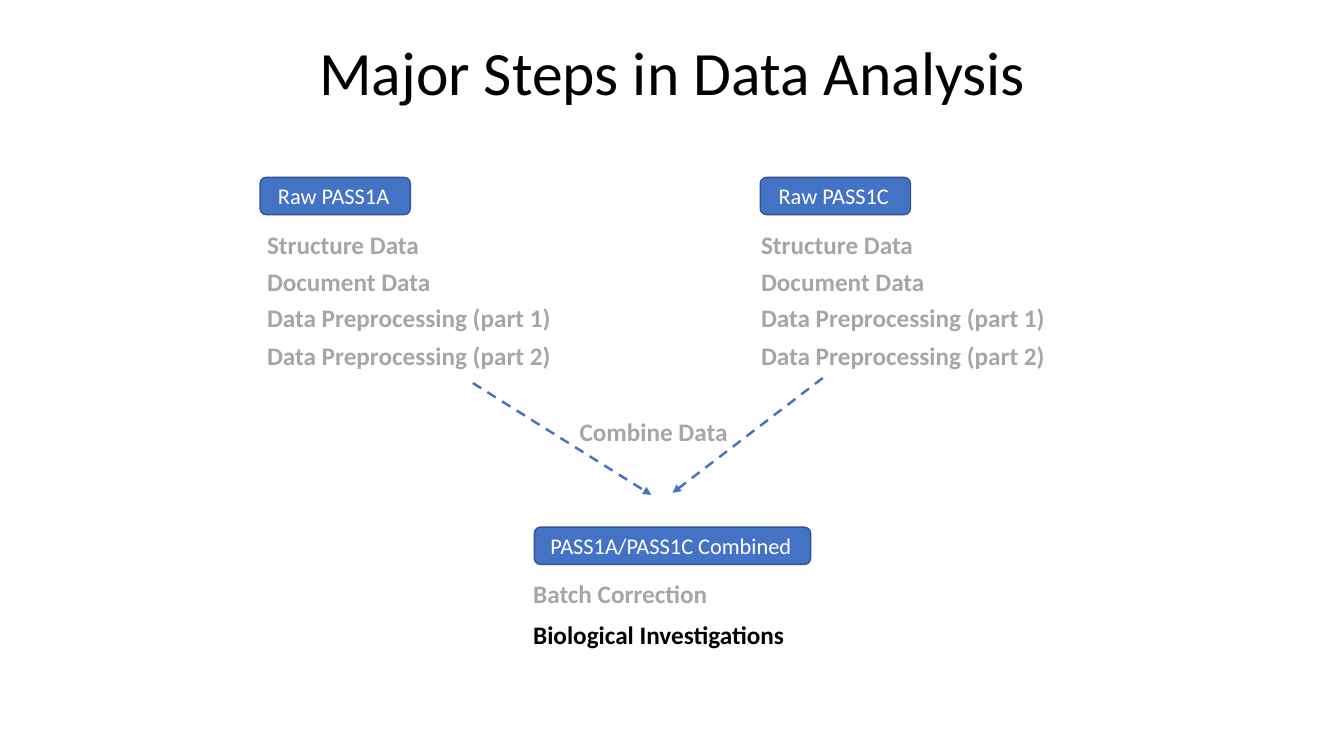
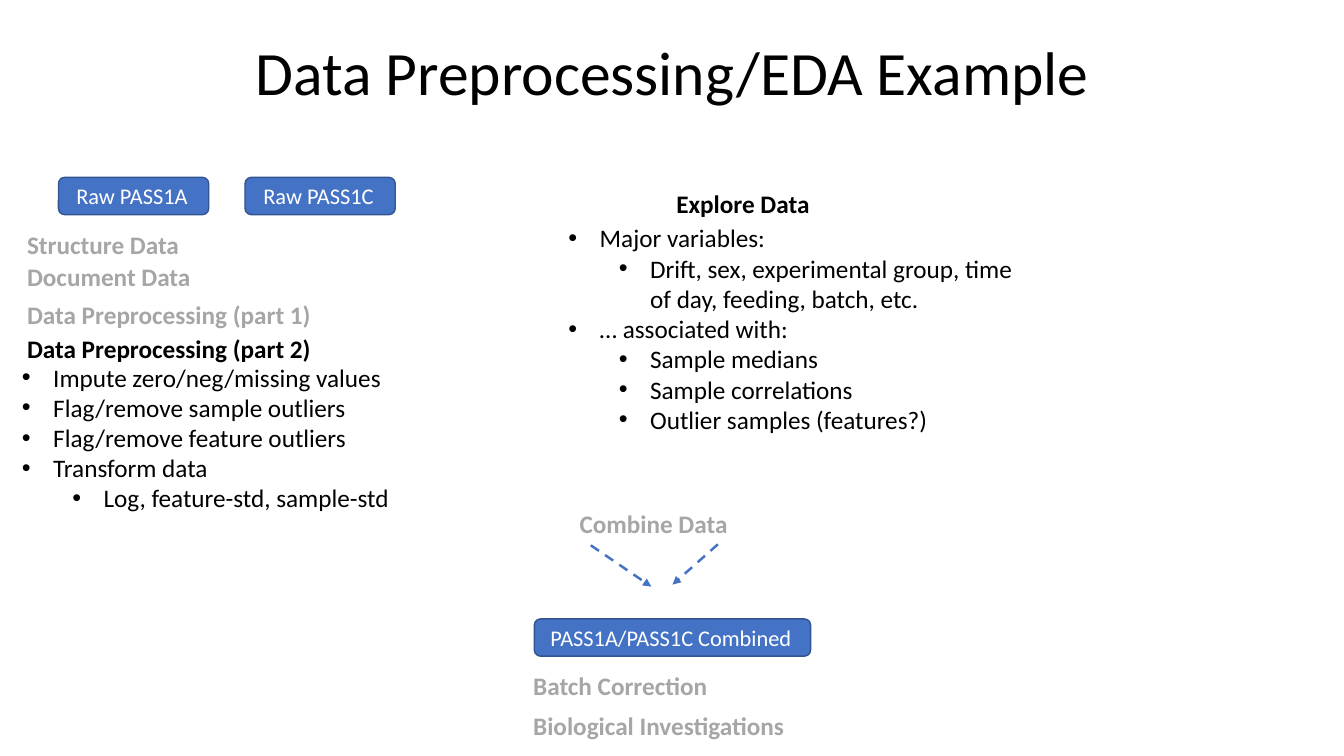
"""Build two slides on the steps of a data analysis pipeline."""
from lxml import etree
from pptx import Presentation
from pptx.dml.color import RGBColor
from pptx.enum.dml import MSO_LINE
from pptx.enum.shapes import MSO_CONNECTOR, MSO_SHAPE
from pptx.enum.text import MSO_ANCHOR, PP_ALIGN
from pptx.oxml.ns import qn
from pptx.util import Inches, Pt

COLORS = {"text": "000000", "done": "A6A6A6", "pill": "4472C4",
          "outline": "325491", "pill_text": "FFFFFF"}
FONT = "Calibri"
STEPS = ["Structure Data", "Document Data",
         "Data Preprocessing (part 1)", "Data Preprocessing (part 2)"]
FINAL_STEPS = ["Batch Correction", "Biological Investigations"]
RAW_TOP, RAW_WIDTH, PILL_HEIGHT = 1.76, 1.49, 0.37
FINAL_LEFT, FINAL_WIDTH = 5.3, 2.74

SLIDES = [
    {"title": "Major Steps in Data Analysis",
     "raw": [("Raw PASS1A", 2.58), ("Raw PASS1C", 7.54)],
     "step_lefts": [2.55, 7.45],
     "step_tops": [2.23, 2.59, 2.95, 3.33],
     "current": "Biological Investigations",
     "combined_top": 5.23,
     "arrow_starts": [(4.69, 3.8), (8.16, 3.75)],
     "headings": [],
     "details": []},
    {"title": "Data Preprocessing/EDA Example",
     "raw": [("Raw PASS1A", 0.58), ("Raw PASS1C", 2.43)],
     "step_lefts": [0.17],
     "step_tops": [2.23, 2.54, 2.92, 3.26],
     "current": "Data Preprocessing (part 2)",
     "combined_top": 6.14,
     "arrow_starts": [(5.86, 5.41), (7.12, 5.4)],
     "headings": [("Explore Data", 6.61, 1.82)],
     "details": [
         (0.12, 3.54, 1.62, [
             (0, "Impute zero/neg/missing values"),
             (0, "Flag/remove sample outliers"),
             (0, "Flag/remove feature outliers"),
             (0, "Transform data"),
             (1, "Log, feature-std, sample-std")]),
         (5.54, 2.16, 2.52, [
             (0, "Major variables:"),
             (1, "Drift, sex, experimental group, time of day, "
                 "feeding, batch, etc."),
             (0, "… associated with:"),
             (1, "Sample medians"),
             (1, "Sample correlations"),
             (1, "Outlier samples (features?)")])]},
]


def rgb(name):
    return RGBColor.from_string(COLORS[name])


def add_run(paragraph, text, size, color="text", bold=False):
    run = paragraph.add_run()
    run.text = text
    run.font.name = FONT
    run.font.size = Pt(size)
    run.font.bold = bold
    run.font.color.rgb = rgb(color)


def add_frame(slide, left, top, width, height):
    box = slide.shapes.add_textbox(*map(Inches, (left, top, width, height)))
    box.text_frame.word_wrap = True
    return box.text_frame


def add_title(slide, text):
    frame = add_frame(slide, 0.92, 0.02, 11.5, 1.45)
    frame.vertical_anchor = MSO_ANCHOR.MIDDLE
    heading = frame.paragraphs[0]
    heading.alignment = PP_ALIGN.CENTER
    heading.line_spacing = 0.9
    add_run(heading, text, 44)


def add_pill(slide, text, left, top, width):
    pill = slide.shapes.add_shape(
        MSO_SHAPE.ROUNDED_RECTANGLE,
        *map(Inches, (left, top, width, PILL_HEIGHT)))
    pill.shadow.inherit = False
    pill.fill.solid()
    pill.fill.fore_color.rgb = rgb("pill")
    pill.line.color.rgb = rgb("outline")
    pill.line.width = Pt(1)
    frame = pill.text_frame
    frame.vertical_anchor = MSO_ANCHOR.MIDDLE
    frame.word_wrap = False
    frame.margin_right = Inches(0.13)
    frame.paragraphs[0].alignment = PP_ALIGN.CENTER
    add_run(frame.paragraphs[0], text, 16, "pill_text")


def add_step(slide, text, left, top, current):
    frame = add_frame(slide, left, top, 3.31, 0.4)
    color = "text" if text == current else "done"
    add_run(frame.paragraphs[0], text, 18, color, bold=True)


def add_arrow(slide, start, end):
    arrow = slide.shapes.add_connector(
        MSO_CONNECTOR.STRAIGHT, *map(Inches, (*start, *end)))
    arrow.line.color.rgb = rgb("pill")
    arrow.line.width = Pt(1.75)
    arrow.line.dash_style = MSO_LINE.DASH
    outline = arrow.line._get_or_add_ln()
    etree.SubElement(outline, qn("a:tailEnd"), type="triangle")
    etree.SubElement(arrow._element.spPr, qn("a:effectLst"))


def add_bullets(slide, left, top, height, items):
    frame = add_frame(slide, left, top, 4.63, height)
    for index, (level, text) in enumerate(items):
        bullet = frame.add_paragraph() if index else frame.paragraphs[0]
        bullet.level = level
        properties = bullet._p.get_or_add_pPr()
        properties.set("marL", str(Inches(0.31 + 0.5 * level)))
        properties.set("indent", str(Inches(-0.31)))
        etree.SubElement(properties, qn("a:buFont"), typeface="Arial")
        etree.SubElement(properties, qn("a:buChar"), char="•")
        add_run(bullet, text, 18)


def add_combined(slide, top, arrow_starts, current):
    add_pill(slide, "PASS1A/PASS1C Combined", FINAL_LEFT, top, FINAL_WIDTH)
    for index, step in enumerate(FINAL_STEPS):
        add_step(slide, step, 5.19, top + 0.46 + 0.4 * index, current)
    arrow_tips = [(6.46, top - 0.32), (6.67, top - 0.34)]
    for start, tip in zip(arrow_starts, arrow_tips):
        add_arrow(slide, start, tip)
    add_step(slide, "Combine Data", 5.65, top - 1.15, current)


def build_slide(deck, content):
    slide = deck.slides.add_slide(deck.slide_layouts[6])
    current = content["current"]
    add_title(slide, content["title"])
    for text, left in content["raw"]:
        add_pill(slide, text, left, RAW_TOP, RAW_WIDTH)
    for left in content["step_lefts"]:
        for step, top in zip(STEPS, content["step_tops"]):
            add_step(slide, step, left, top, current)
    add_combined(slide, content["combined_top"],
                 content["arrow_starts"], current)
    for text, left, top in content["headings"]:
        add_step(slide, text, left, top, text)
    for detail in content["details"]:
        add_bullets(slide, *detail)


def main():
    deck = Presentation()
    deck.slide_width, deck.slide_height = Inches(13.33), Inches(7.5)
    for content in SLIDES:
        build_slide(deck, content)
    deck.save("out.pptx")


if __name__ == "__main__":
    main()
